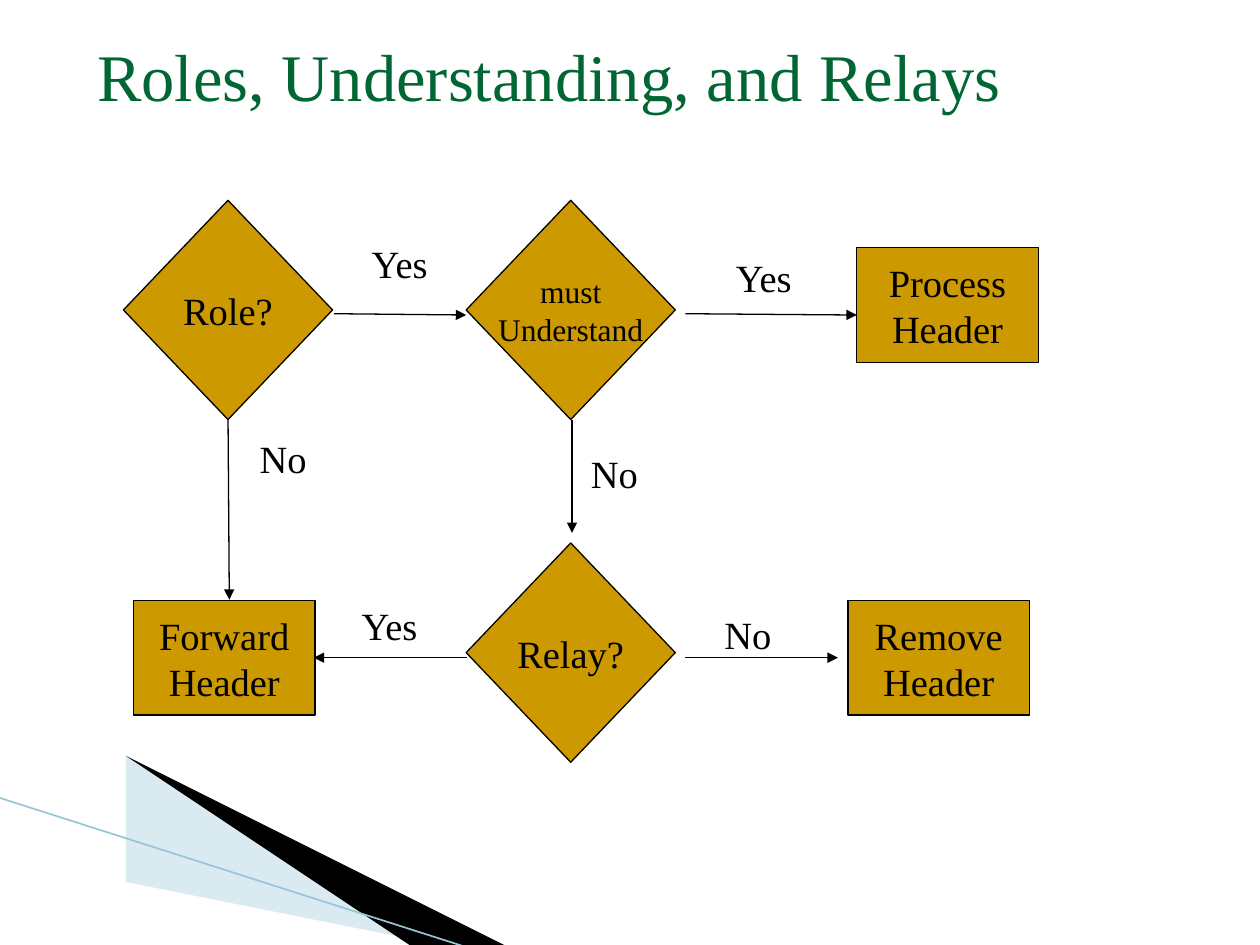
from pptx import Presentation, util as u
from pptx.dml.color import RGBColor
from pptx.enum import shapes, text
from pptx.oxml.ns import qn
from lxml import etree

GOLD = RGBColor(0xCC, 0x99, 0x00)
GREEN = RGBColor(0x00, 0x66, 0x33)
BLACK = RGBColor(0, 0, 0)
PALE = RGBColor(0xA0, 0xCB, 0xDC)
BLUE = RGBColor(0x97, 0xC5, 0xD8)
FONT = "Times New Roman"
THIN = 0.74

# Flow grid: centres of columns and rows
COLS = (1.81, 4.53, 7.45)
ROWS = (2.46, 5.18)
KINDS = {
    "ask": (shapes.MSO_SHAPE.DIAMOND, 1.66, 1.74),
    "act": (shapes.MSO_SHAPE.RECTANGLE, 1.44, 0.91),
}
# kind, column, row, nudge (x, y), text, size
NODES = [
    ("ask", 0, 0, (0, 0), "Role?", 22),
    ("ask", 1, 0, (0, 0), "must\nUnderstand", 18),
    ("ask", 1, 1, (0, 0), "Relay?", 22),
    ("act", 0, 1, (-0.03, 0.04), "Forward\nHeader", 22),
    ("act", 2, 0, (0.07, -0.04), "Process\nHeader", 22),
    ("act", 2, 1, (0, 0.04), "Remove\nHeader", 22),
]
# start, end, label, label corner
LINKS = [
    ((2.65, 2.49), (3.7, 2.5), "Yes", (2.86, 1.86)),
    ((5.44, 2.49), (6.8, 2.5), "Yes", (5.75, 1.97)),
    ((1.81, 3.33), (1.82, 4.76), "No", (1.97, 3.4)),
    ((4.54, 3.33), (4.54, 4.23), "No", (4.6, 3.52)),
    ((3.71, 5.22), (2.49, 5.22), "Yes", (2.78, 4.73)),
    ((5.44, 5.22), (6.65, 5.22), "No", (5.66, 4.8)),
]
WIDE = {"Yes": 0.63, "No": 0.56}
WEDGES = [
    (PALE, 40, [(0.55, 6.51), (5.95, 7.51), (4.56, 7.51), (0.55, 6.5)]),
    (BLACK, 100, [(0.53, 6.49), (4.57, 7.51), (3.72, 7.52), (0.54, 6.5)]),
]


def write(shape, words, size, color=BLACK, align=None, wrap=False):
    """Put words into a shape, one paragraph a line."""
    frame = shape.text_frame
    frame.word_wrap = wrap
    frame.margin_left = frame.margin_right = u.Inches(0.09)
    frame.margin_top = frame.margin_bottom = u.Inches(0.05)
    frame.text = words
    for para in frame.paragraphs:
        para.alignment = align
        font = para.font
        font.name, font.size = FONT, u.Pt(size)
        font.color.rgb = color


def label(left, top, wide, high, words, size, **style):
    """Add a text box."""
    box = deck.add_textbox(*map(u.Inches, (left, top, wide, high)))
    write(box, words, size, **style)


def line(start, end, color, width, arrow=False):
    """Draw a straight line, with an arrowhead if asked."""
    link = deck.add_connector(shapes.MSO_CONNECTOR.STRAIGHT,
                              *map(u.Inches, (*start, *end)))
    link.line.color.rgb = color
    link.line.width = u.Pt(width)
    if arrow:
        etree.SubElement(link.line._get_or_add_ln(), qn("a:tailEnd"),
                         type="triangle")
    etree.SubElement(link._element.spPr, qn("a:effectLst"))


def wedge(color, share, points):
    """Draw a filled outline, opaque by the given percentage."""
    pen = deck.build_freeform(*points[0], scale=u.Inches(1))
    pen.add_line_segments(points[1:], close=True)
    form = pen.convert_to_shape()
    form.shadow.inherit = False
    form.fill.solid()
    form.fill.fore_color.rgb = color
    form.line.fill.background()
    if share < 100:
        tint = form._element.spPr.find(".//" + qn("a:srgbClr"))
        etree.SubElement(tint, qn("a:alpha"), val=str(share * 1000))


def node(kind, col, row, nudge, words, size):
    """Draw one flow step centred on its grid cell."""
    form, wide, high = KINDS[kind]
    left = COLS[col] + nudge[0] - wide / 2
    top = ROWS[row] + nudge[1] - high / 2
    step = deck.add_shape(form, *map(u.Inches, (left, top, wide, high)))
    step.shadow.inherit = False
    step.fill.solid()
    step.fill.fore_color.rgb = GOLD
    step.line.color.rgb = BLACK
    step.line.width = u.Pt(THIN)
    write(step, words, size, align=text.PP_ALIGN.CENTER)
    step.text_frame.vertical_anchor = text.MSO_ANCHOR.MIDDLE


show = Presentation()
show.slide_width, show.slide_height = u.Inches(10), u.Inches(7.5)
deck = show.slides.add_slide(show.slide_layouts[6]).shapes

for item in WEDGES:
    wedge(*item)
line((-0.01, 6.33), (3.71, 7.52), BLUE, 0.95)
label(0.68, 0.23, 7.71, 1.13, "Roles, Understanding, and Relays", 38,
      color=GREEN, wrap=True)
for item in NODES:
    node(*item)
for start, end, words, corner in LINKS:
    line(start, end, BLACK, THIN, arrow=True)
    label(*corner, WIDE[words], 0.46, words, 22)

show.save("out.pptx")
